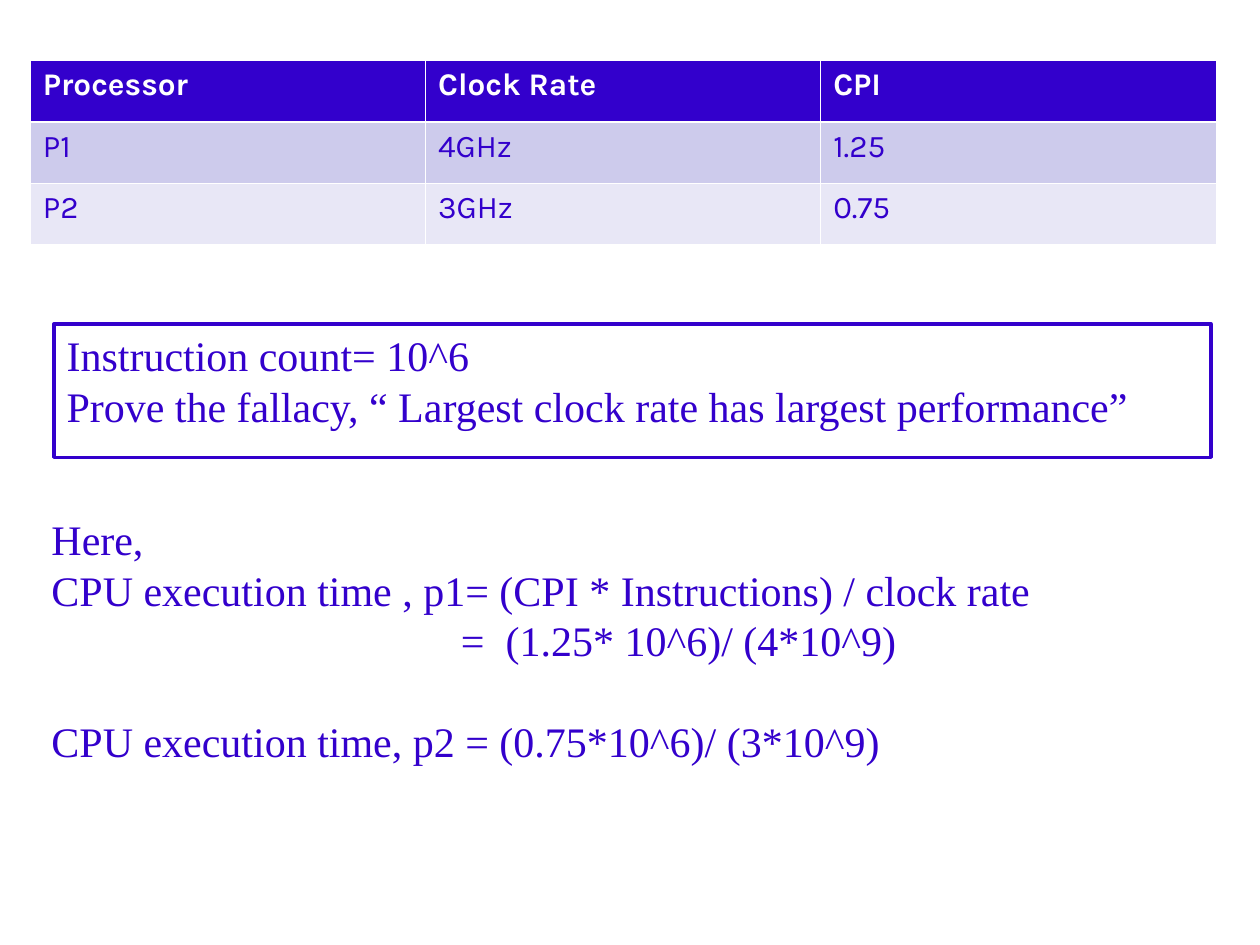
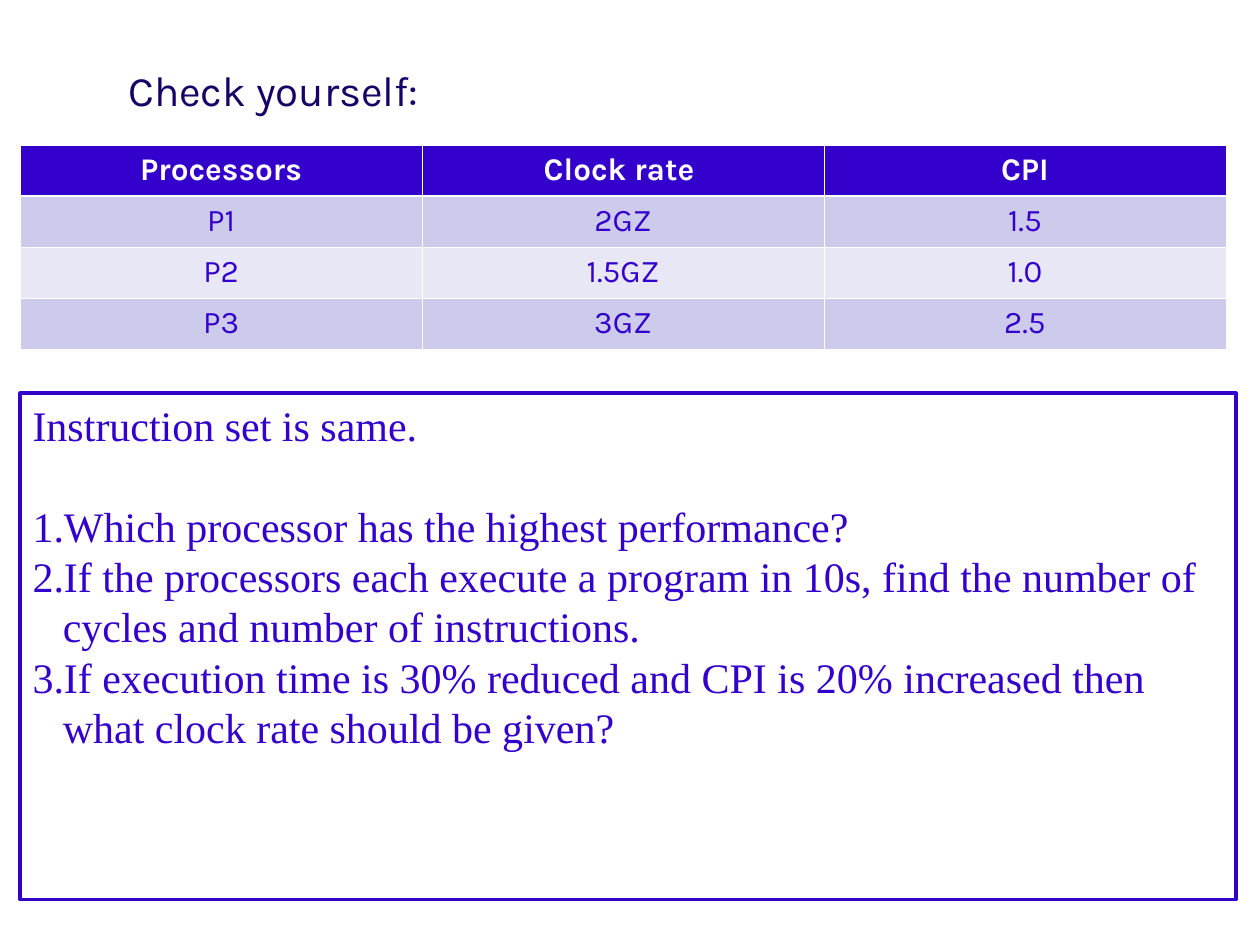
from dataclasses import dataclass

from lxml.etree import SubElement
from pptx import Presentation
from pptx.dml.color import RGBColor
from pptx.enum.shapes import MSO_SHAPE as Shape
from pptx.enum.text import MSO_ANCHOR as Anchor, PP_ALIGN as Align
from pptx.oxml.ns import qn
from pptx.util import Inches, Pt


@dataclass(frozen=True)
class Theme:
    primary: str = "3300CC"
    title: str = "190066"
    white: str = "FFFFFF"
    bands: tuple = ("CDCBEC", "E8E7F6")
    heading_font: str = "Karla"
    body_font: str = "Times New Roman"
    table_size: float = 18
    text_size: float = 24
    line_pitch: float = 28.8
    outline: float = 2
    grid: float = 0.45
    header_rule: float = 1.47


THEME = Theme()


@dataclass(frozen=True)
class Line:
    """One paragraph of a panel; gap counts the empty lines above it."""
    text: str
    gap: int = 0
    indent: float = 0
    numbered: bool = False


def add_run(paragraph, text, font, size, color, bold=False):
    run = paragraph.add_run()
    run.text = text
    run.font.name = font
    run.font.size = Pt(size)
    run.font.bold = bold
    run.font.color.rgb = RGBColor.from_string(color)


def set_margins(paragraph, left, first=0):
    properties = paragraph._p.get_or_add_pPr()
    properties.set("marL", str(Inches(left)))
    properties.set("indent", str(Inches(first)))
    return properties


def number_paragraph(paragraph):
    properties = set_margins(paragraph, 0.24, -0.24)
    SubElement(properties, qn("a:buFont"), typeface=THEME.body_font)
    SubElement(properties, qn("a:buAutoNum"), type="arabicPeriod")


# Title
def add_title(slide, text, left, top, width, height):
    frame = slide.shapes.add_textbox(
        Inches(left), Inches(top), Inches(width), Inches(height)).text_frame
    frame.word_wrap = True
    frame.vertical_anchor = Anchor.MIDDLE
    frame.margin_left = Inches(0.41)
    paragraph = frame.paragraphs[0]
    paragraph.alignment = Align.CENTER
    add_run(paragraph, text, THEME.heading_font, THEME.text_size, THEME.title)


# Tables
def set_border(cell, side, width):
    border = SubElement(cell._tc.get_or_add_tcPr(), qn(f"a:{side}"),
                        w=str(Pt(width)))
    fill = SubElement(border, qn("a:solidFill"))
    SubElement(fill, qn("a:srgbClr"), val=THEME.white)


def style_cell(cell, text, row, align):
    header = row == 0
    # Borders come before the fill in the cell properties
    top = THEME.header_rule if row == 1 else THEME.grid
    bottom = THEME.header_rule if header else THEME.grid
    for side, width in (("lnL", THEME.grid), ("lnR", THEME.grid),
                        ("lnT", top), ("lnB", bottom)):
        set_border(cell, side, width)
    cell.fill.solid()
    cell.fill.fore_color.rgb = RGBColor.from_string(
        THEME.primary if header else THEME.bands[(row - 1) % 2])
    paragraph = cell.text_frame.paragraphs[0]
    paragraph.alignment = align
    add_run(paragraph, text, THEME.heading_font, THEME.table_size,
            THEME.white if header else THEME.primary, bold=header)


def add_processor_table(slide, rows, left, top, width, height, align):
    table = slide.shapes.add_table(
        len(rows), len(rows[0]), Inches(left), Inches(top),
        Inches(width), Inches(height)).table
    for row, values in enumerate(rows):
        for column, text in enumerate(values):
            style_cell(table.cell(row, column), text, row, align)


# Text panels
def add_panel(slide, lines, left, top, width, height, outline=THEME.primary):
    panel = slide.shapes.add_shape(
        Shape.RECTANGLE, Inches(left), Inches(top),
        Inches(width), Inches(height))
    panel.shadow.inherit = False
    panel.fill.solid()
    panel.fill.fore_color.rgb = RGBColor.from_string(THEME.white)
    panel.line.color.rgb = RGBColor.from_string(outline)
    panel.line.width = Pt(THEME.outline)
    frame = panel.text_frame
    frame.word_wrap = True
    frame.vertical_anchor = Anchor.TOP
    for index, line in enumerate(lines):
        paragraph = frame.add_paragraph() if index else frame.paragraphs[0]
        paragraph.alignment = Align.LEFT
        paragraph.line_spacing = Pt(THEME.line_pitch)
        paragraph.space_before = Pt(line.gap * THEME.line_pitch)
        if line.numbered:
            number_paragraph(paragraph)
        elif line.indent:
            set_margins(paragraph, line.indent)
        add_run(paragraph, line.text, THEME.body_font, THEME.text_size,
                THEME.primary)


# Slides
def build_fallacy_slide(slide):
    add_processor_table(slide, [
        ("Processor", "Clock Rate", "CPI"),
        ("P1", "4GHz", "1.25"),
        ("P2", "3GHz", "0.75"),
    ], 0.24, 0.48, 9.41, 1.46, Align.LEFT)
    add_panel(slide, [
        Line("Instruction count= 10^6"),
        Line("Prove the fallacy, “ Largest clock rate has largest "
             "performance”"),
    ], 0.43, 2.57, 9.18, 1.06)
    add_panel(slide, [
        Line("Here,"),
        Line("CPU execution time , p1= (CPI * Instructions) / clock rate"),
        Line("=  (1.25* 10^6)/ (4*10^9)", indent=3.25),
        Line("CPU execution time, p2 = (0.75*10^6)/ (3*10^9)", gap=1),
    ], 0.31, 4.03, 9.29, 3.27, outline=THEME.white)


def build_exercise_slide(slide):
    add_title(slide, "Check yourself: ", 0.45, 0.28, 3.21, 0.87)
    add_processor_table(slide, [
        ("Processors", "Clock rate ", "CPI"),
        ("P1", "2GZ", "1.5"),
        ("P2", "1.5GZ", "1.0"),
        ("P3", "3GZ", "2.5"),
    ], 0.16, 1.15, 9.57, 1.62, Align.CENTER)
    add_panel(slide, [
        Line("Instruction set is same."),
        Line("Which processor has the highest performance?",
             gap=1, numbered=True),
        Line("If the processors each execute a program in 10s, find the "
             "number of cycles and number of instructions.", numbered=True),
        Line("If execution time is 30% reduced and CPI is 20% increased "
             "then what clock rate should be given?", numbered=True),
    ], 0.16, 3.12, 9.65, 4.02)


def main():
    presentation = Presentation()
    presentation.slide_width = Inches(10)
    presentation.slide_height = Inches(7.5)
    blank = presentation.slide_layouts[6]
    for build in (build_fallacy_slide, build_exercise_slide):
        build(presentation.slides.add_slide(blank))
    presentation.save("out.pptx")


main()
